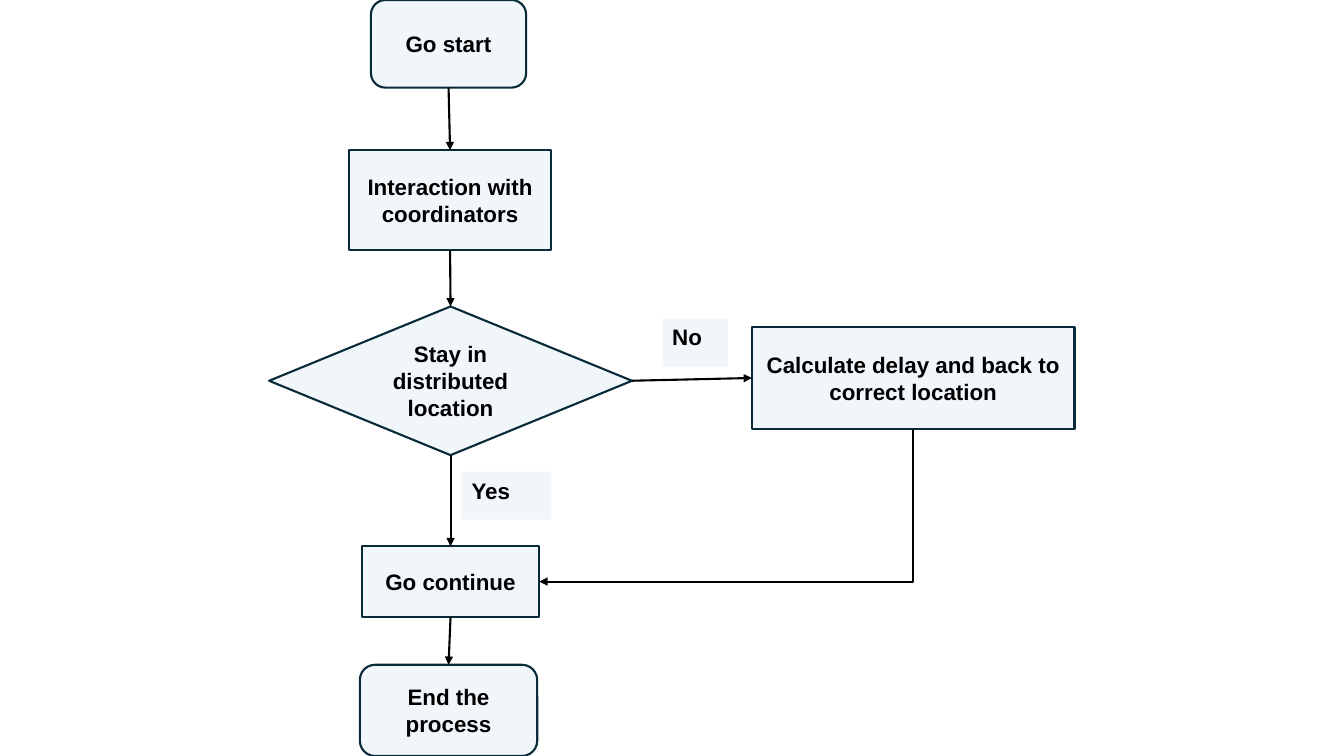
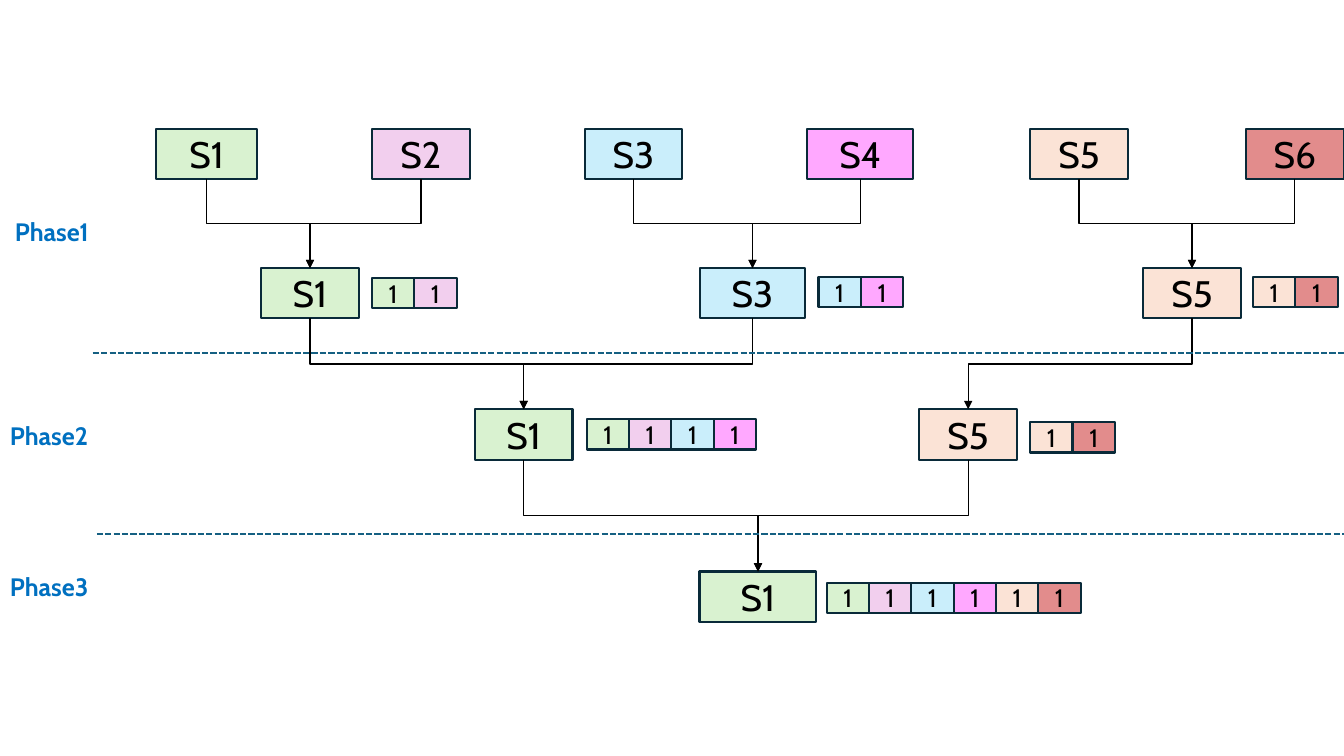
from collections import namedtuple

from pptx import Presentation
from pptx import util as u
from pptx.dml.color import RGBColor
from pptx.enum import dml, shapes, text
from pptx.oxml.ns import qn
from pptx.oxml.xmlchemy import OxmlElement

# Grid: 75 rows down the slide, square cells
SLIDE_W, SLIDE_H = u.Inches(13.333), u.Inches(7.5)
ROWS = 75
CELL = SLIDE_H / ROWS
COLS = SLIDE_W / CELL

# Colours
BLACK = RGBColor(0x00, 0x00, 0x00)
OUTLINE = RGBColor(0x09, 0x2A, 0x39)
STEP_FILL = RGBColor(0xDC, 0xEA, 0xF7)
PHASE_BLUE = RGBColor(0x00, 0x70, 0xC0)
DIVIDER = RGBColor(0x15, 0x60, 0x82)

# Station fill and its opacity in percent
STATIONS = {
    "S1": (RGBColor(0xD9, 0xF2, 0xD0), 100),
    "S2": (RGBColor(0xF2, 0xCF, 0xEE), 100),
    "S3": (RGBColor(0xCA, 0xEE, 0xFB), 100),
    "S4": (RGBColor(0xFF, 0x40, 0xFF), 45),
    "S5": (RGBColor(0xFB, 0xE3, 0xD6), 100),
    "S6": (RGBColor(0xC0, 0x00, 0x00), 45),
}

# Text formats
STEP_FONT = dict(name="Arial", size=u.Pt(16), bold=True)
STATION_FONT = dict(name="Cabin", size=u.Pt(26.3))
TOKEN_FONT = dict(name="Cabin", size=u.Pt(18))
PHASE_FONT = dict(name="Cabin", size=u.Pt(18), bold=True)
CENTRED = dict(alignment=text.PP_ALIGN.CENTER)
SPACED = dict(CENTRED, space_after=u.Pt(6))
LEFT = dict(alignment=text.PP_ALIGN.LEFT)

TOP, LEFT_SIDE, BOTTOM, RIGHT_SIDE = range(4)
RECT = shapes.MSO_SHAPE.RECTANGLE
ROUNDED = shapes.MSO_SHAPE.FLOWCHART_ALTERNATE_PROCESS
DECISION = shapes.MSO_SHAPE.FLOWCHART_DECISION

# Flowchart steps: wording, outline, place in cells
STEPS = {
    "start": ("Go start", ROUNDED, (36.8, 0, 15.4, 8.7)),
    "interact": ("Interaction with coordinators", RECT, (34.6, 14.9, 20.1, 9.9)),
    "stay": ("Stay in distributed location", DECISION, (26.7, 30.4, 36, 14.75)),
    "delay": ("Calculate delay and back to correct location", RECT,
              (74.6, 32.45, 32, 10.1)),
    "continue": ("Go continue", RECT, (35.9, 54.2, 17.6, 7)),
    "end": ("End the process", ROUNDED, (35.7, 65.95, 17.6, 9.05)),
}
FLOWS = [("start", "interact"), ("interact", "stay"), ("stay", "continue"),
         ("continue", "end")]
ANSWERS = [("Yes", (45.8, 46.8, 8.9, 4.75)), ("No", (65.7, 31.6, 6.5, 4.75))]

# Merge tree: each node names its sources and where its token strip begins
Node = namedtuple("Node", "station left top width sources strip", defaults=((), None))
STATION_H, TOKEN_W, TOKEN_H = 5, 4.2, 3
LEVELS = (12.8, 26.6, 40.6, 56.7)
NODES = {
    "S1": Node("S1", 15.5, LEVELS[0], 10),
    "S2": Node("S2", 36.9, LEVELS[0], 9.7),
    "S3": Node("S3", 58, LEVELS[0], 9.7),
    "S4": Node("S4", 80.1, LEVELS[0], 10.5),
    "S5": Node("S5", 102.2, LEVELS[0], 9.7),
    "S6": Node("S6", 123.6, LEVELS[0], 9.7),
    "S12": Node("S1", 25.9, LEVELS[1], 9.7, ("S1", "S2"), (36.9, 27.6)),
    "S34": Node("S3", 69.4, LEVELS[1], 10.5, ("S3", "S4"), (81.2, 27.5)),
    "S56": Node("S5", 113.4, LEVELS[1], 9.7, ("S5", "S6"), (124.3, 27.5)),
    "S1234": Node("S1", 47.1, LEVELS[2], 9.7, ("S12", "S34"), (58.2, 41.6)),
    "S56 kept": Node("S5", 91.2, LEVELS[2], 9.7, ("S56",), (102.2, 41.9)),
    "all": Node("S1", 69.4, LEVELS[3], 11.6, ("S1234", "S56 kept"), (82, 57.8)),
}
PHASES = [("Phase1", 0.5, 21), ("Phase2", 0, 41.2), ("Phase3", 0, 56.2)]
DIVIDERS = [(9.2, 35), (9.6, 53)]


def cells(*counts):
    return [round(n * CELL) for n in counts]


def write(frame, wording, font, paragraph, colour=BLACK):
    frame.word_wrap = True
    line = frame.paragraphs[0]
    run = line.add_run()
    run.text = wording
    run.font.color.rgb = colour
    for target, values in ((line, paragraph), (run.font, font)):
        for key, value in values.items():
            setattr(target, key, value)


def add_box(slide, kind, place, fill, wording, font, paragraph=CENTRED, outlined=True):
    """Filled shape with text; fill is (colour, opacity percent)."""
    box = slide.shapes.add_shape(kind, *cells(*place))
    box.shadow.inherit = False
    colour, opacity = fill
    box.fill.solid()
    box.fill.fore_color.rgb = colour
    if opacity < 100:
        alpha = OxmlElement("a:alpha")
        alpha.set("val", str(opacity * 1000))
        box.element.spPr.find(qn("a:solidFill"))[0].append(alpha)
    if outlined:
        box.line.color.rgb = OUTLINE
        box.line.width = u.Pt(1.5)
    else:
        box.line.fill.background()
    anchor = text.MSO_ANCHOR.MIDDLE if outlined else text.MSO_ANCHOR.TOP
    box.text_frame.vertical_anchor = anchor
    write(box.text_frame, wording, font, paragraph)
    return box


def style_line(line, colour, points, arrow=True):
    line.line.color.rgb = colour
    line.line.width = u.Pt(points)
    properties = line.element.spPr
    if arrow:
        tip = OxmlElement("a:tailEnd")
        tip.set("type", "triangle")
        properties.find(qn("a:ln")).append(tip)
    properties.append(OxmlElement("a:effectLst"))


def join(slide, source, target, sites, points=1.5,
         kind=shapes.MSO_CONNECTOR.STRAIGHT):
    arrow = slide.shapes.add_connector(kind, 0, 0, 0, 0)
    arrow.begin_connect(source, sites[0])
    arrow.end_connect(target, sites[1])
    style_line(arrow, BLACK, points)
    return arrow


def join_downward(slide, source, target, sites, points, bends=2):
    """Elbow arrow that leaves the source vertically."""
    arrow = join(slide, source, target, sites, points, shapes.MSO_CONNECTOR.ELBOW)
    across = arrow.end_x - arrow.begin_x
    down = arrow.end_y - arrow.begin_y
    middle_x = (arrow.begin_x + arrow.end_x) // 2
    middle_y = (arrow.begin_y + arrow.end_y) // 2
    # The elbow is drawn lying on its side, then turned about its middle
    arrow.width, arrow.height = down, abs(across)
    arrow.left, arrow.top = middle_x - down // 2, middle_y - abs(across) // 2
    frame = arrow.element.spPr.find(qn("a:xfrm"))
    frame.set("rot", str((270 if across > 0 else 90) * 60000))
    frame.set("flipH", "1" if across > 0 else "0")
    frame.set("flipV", "0")
    geometry = arrow.element.spPr.find(qn("a:prstGeom"))
    geometry.set("prst", f"bentConnector{bends + 1}")


def members(key):
    """Stations merged into a node, in order."""
    node = NODES[key]
    if not node.sources:
        return [node.station]
    return [station for source in node.sources for station in members(source)]


def build_flowchart(slide):
    fill = (STEP_FILL, 40)
    steps = {key: add_box(slide, kind, place, fill, wording, STEP_FONT)
             for key, (wording, kind, place) in STEPS.items()}
    for source, target in FLOWS:
        join(slide, steps[source], steps[target], (BOTTOM, TOP))
    join(slide, steps["stay"], steps["delay"], (RIGHT_SIDE, LEFT_SIDE))
    join_downward(slide, steps["delay"], steps["continue"], (BOTTOM, RIGHT_SIDE),
                  1.5, bends=1)
    for answer, place in ANSWERS:
        add_box(slide, RECT, place, fill, answer, STEP_FONT, LEFT, outlined=False)


def build_merge_tree(slide):
    # Stations and the arrows that merge them
    boxes = {key: add_box(slide, RECT, (node.left, node.top, node.width, STATION_H),
                          STATIONS[node.station], node.station, STATION_FONT, SPACED)
             for key, node in NODES.items()}
    for key, node in NODES.items():
        for source in node.sources:
            join_downward(slide, boxes[source], boxes[key], (BOTTOM, TOP), 1)

    # Token strips, one token for each merged station
    for key, node in NODES.items():
        if node.strip:
            left, top = node.strip
            for i, station in enumerate(members(key)):
                add_box(slide, RECT, (left + i * TOKEN_W, top, TOKEN_W, TOKEN_H),
                        STATIONS[station], "1", TOKEN_FONT)

    # Phase names and dividers
    for phase, left, top in PHASES:
        label = slide.shapes.add_textbox(*cells(left, top, 18.5, 6))
        write(label.text_frame, phase, PHASE_FONT, LEFT, PHASE_BLUE)
    for left, top in DIVIDERS:
        divider = slide.shapes.add_connector(shapes.MSO_CONNECTOR.STRAIGHT,
                                             *cells(left, top, COLS, top))
        divider.line.dash_style = dml.MSO_LINE.SQUARE_DOT
        style_line(divider, DIVIDER, 1.5, arrow=False)


def main():
    deck = Presentation()
    deck.slide_width, deck.slide_height = SLIDE_W, SLIDE_H
    blank = deck.slide_layouts[6]
    for build in (build_flowchart, build_merge_tree):
        build(deck.slides.add_slide(blank))
    deck.save("out.pptx")


if __name__ == "__main__":
    main()
